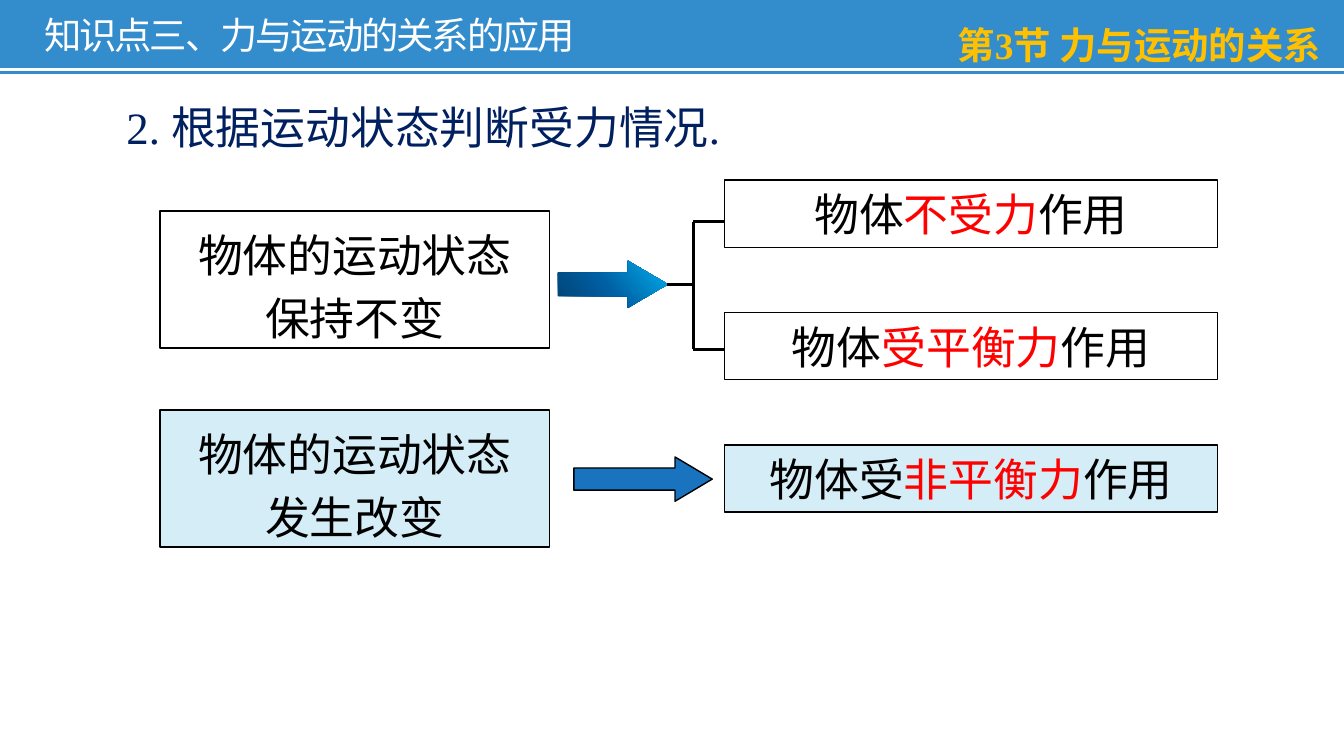
from lxml import etree
from pptx import Presentation
from pptx import util as u
from pptx.dml import color
from pptx.enum import shapes, text
from pptx.oxml import ns, parse_xml

COLS, ROWS = 100, 56.1
COLORS = {
    "bar": "0070C0", "white": "FFFFFF", "black": "000000", "gold": "FFC000",
    "navy": "002060", "red": "FF0000", "pale": "D5EDF6", "arrow": "1973BF",
}
GRADIENT = [(0, "004272"), (44, "005EA2"), (100, "00B0F0")]
SANS, SERIF = "Noto Sans CJK SC", "Times New Roman"
MIDDLE, TOP = text.MSO_ANCHOR.MIDDLE, text.MSO_ANCHOR.TOP
LEFT, CENTER, RIGHT = text.PP_ALIGN.LEFT, text.PP_ALIGN.CENTER, text.PP_ALIGN.RIGHT


def rgb(name):
    return color.RGBColor.from_string(COLORS[name])


class Deck:
    def __init__(self):
        self.prs = Presentation()
        self.prs.slide_width, self.prs.slide_height = u.Inches(10), u.Inches(5.61)
        self.s = self.prs.slides.add_slide(self.prs.slide_layouts[1])

    def grid(self, *values):
        """Turn alternating column and row counts into slide lengths."""
        units = self.prs.slide_width / COLS, self.prs.slide_height / ROWS
        return [round(v * units[i % 2]) for i, v in enumerate(values)]

    def set_text(self, sp, lines, font=SERIF, size=24, align=CENTER, anchor=MIDDLE,
                 spacing=None, bold=False, track=None):
        """Fill a shape with lines, each a list of (text, colour) runs."""
        tf = sp.text_frame
        tf.word_wrap, tf.auto_size = True, text.MSO_AUTO_SIZE.NONE
        tf.vertical_anchor = anchor
        for i, runs in enumerate(lines):
            p = tf.add_paragraph() if i else tf.paragraphs[0]
            p.alignment, p.space_before = align, u.Pt(0)
            if spacing:
                p.line_spacing = u.Pt(spacing)
            for words, tint in runs:
                r = p.add_run()
                r.text = words
                r.font.name, r.font.size, r.font.bold = font, u.Pt(size), bold
                r.font.color.rgb = rgb(tint)
                rPr = r._r.get_or_add_rPr()
                etree.SubElement(rPr, ns.qn("a:ea")).set("typeface", SANS)
                if track:
                    rPr.set("spc", str(round(track * 100)))

    def placeholder(self, index, at, words, tint, **style):
        """Move a template placeholder to the front and give it one plain line."""
        sp = self.s.placeholders[index]
        sp.left, sp.top, sp.width, sp.height = self.grid(*at)
        self.s.shapes._spTree.append(sp._element)
        pPr = sp.text_frame.paragraphs[0]._p.get_or_add_pPr()
        pPr.set("marL", "0")
        pPr.set("indent", "0")
        etree.SubElement(pPr, ns.qn("a:buNone"))
        self.set_text(sp, [[(words, tint)]], align=LEFT, **style)

    def label(self, at, lines, **style):
        self.set_text(self.s.shapes.add_textbox(*self.grid(*at)), lines, **style)

    def shape(self, kind, at, fill=None, line="black"):
        sp = self.s.shapes.add_shape(kind, *self.grid(*at))
        sp.shadow.inherit = False
        if fill:
            sp.fill.solid()
            sp.fill.fore_color.rgb = rgb(fill)
        else:
            sp.fill.background()
        if line:
            sp.line.color.rgb, sp.line.width = rgb(line), u.Pt(0.75)
        else:
            sp.line.fill.background()
        return sp

    def box(self, at, lines, fill=None, **style):
        self.set_text(self.shape(shapes.MSO_SHAPE.RECTANGLE, at, fill), lines, **style)

    def bar(self, at, fill, opacity):
        sp = self.shape(shapes.MSO_SHAPE.RECTANGLE, at, fill, None)
        tint = sp._element.spPr.find(".//" + ns.qn("a:srgbClr"))
        etree.SubElement(tint, ns.qn("a:alpha")).set("val", str(opacity * 1000))

    def arrow(self, at, head, fill=None, stops=None):
        sp = self.shape(shapes.MSO_SHAPE.RIGHT_ARROW, at, fill, "black" if fill else None)
        sp.adjustments[0], sp.adjustments[1] = 0.5, head
        if stops:
            marks = "".join(f'<a:gs pos="{pos * 1000}"><a:srgbClr val="{tint}"/></a:gs>'
                            for pos, tint in stops)
            old = sp._element.spPr.find(ns.qn("a:noFill"))
            old.getparent().replace(old, parse_xml(
                f'<a:gradFill {ns.nsdecls("a")} rotWithShape="1"><a:gsLst>{marks}</a:gsLst>'
                f'<a:lin ang="{320 * 60000}" scaled="0"/></a:gradFill>'))

    def line(self, x1, y1, x2, y2, tint="black"):
        c = self.s.shapes.add_connector(shapes.MSO_CONNECTOR.STRAIGHT,
                                        *self.grid(x1, y1, x2, y2))
        c.line.color.rgb, c.line.width = rgb(tint), u.Pt(1.5)
        etree.SubElement(c._element.spPr, ns.qn("a:effectLst"))


def main():
    deck = Deck()
    deck.bar((0, 0, COLS, 5.5), "bar", 80)
    deck.line(0, 5.2, COLS, 5.2, "white")
    deck.placeholder(0, (2.3, 0.4, 50.9, 4.4), "知识点三、力与运动的关系的应用", "white",
                     font=SANS, size=20, track=-1.2)
    deck.label((65.6, -0.5, 33.7, 5.5), [[("第3节 力与运动的关系", "gold")]],
               size=20, align=RIGHT, anchor=TOP, spacing=36, bold=True)
    deck.placeholder(1, (8.4, 6.9, 68.6, 5), "2. 根据运动状态判断受力情况.", "navy")

    states = [(15.7, "保持不变", "white"), (30.5, "发生改变", "pale")]
    for top, change, fill in states:
        deck.box((11.9, top, 29, 10.2),
                 [[("物体的运动状态", "black")], [(change, "black")]],
                 fill, anchor=TOP, spacing=34)

    forces = [("物体", "不受力", None), ("物体", "受平衡力", None), ("物体受", "非平衡力", "pale")]
    for i, (subject, force, fill) in enumerate(forces):
        deck.box((53.9, 13.4 + 9.85 * i, 36.7, 5),
                 [[(subject, "black"), (force, "red"), ("作用", "black")]],
                 fill, font=SANS)

    deck.arrow((41.5, 19.4, 8.2, 3.5), 0.85, stops=GRADIENT)
    deck.arrow((42.7, 34, 10.3, 3.3), 0.84, fill="arrow")

    stem, upper, lower = 51.6, 16.5, 26
    deck.line(stem, upper, stem, lower)
    for y in (upper, lower):
        deck.line(stem, y, 53.9, y)
    deck.line(49.6, 21.2, stem, 21.2)
    deck.prs.save("out.pptx")


if __name__ == "__main__":
    main()
